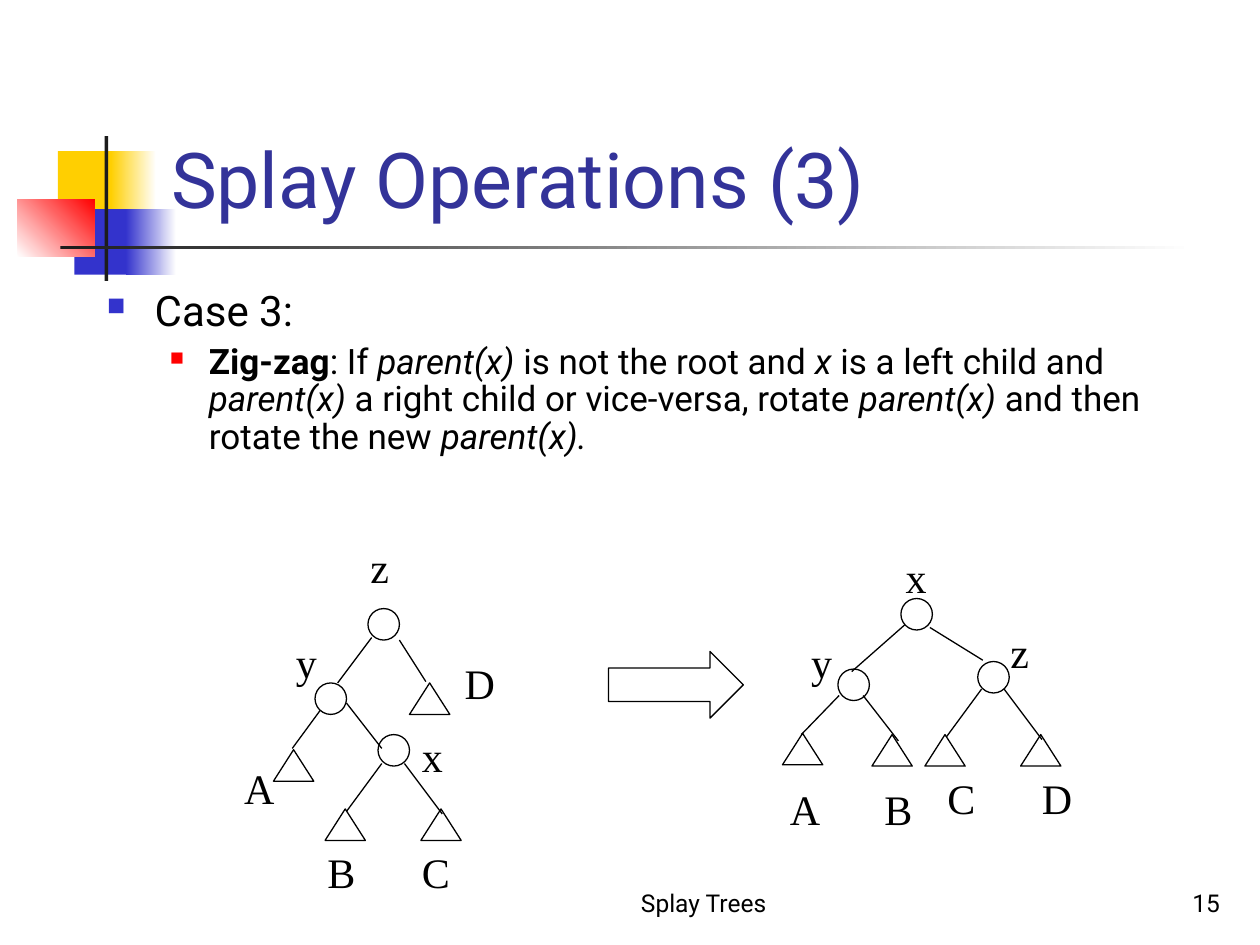
from lxml import etree
from pptx import Presentation
from pptx.dml.color import RGBColor
from pptx.enum import shapes, text
from pptx.oxml import ns
from pptx.util import Inches, Pt

BLACK = RGBColor(0x00, 0x00, 0x00)
WHITE = RGBColor(0xFF, 0xFF, 0xFF)
YELLOW = RGBColor(0xFF, 0xCF, 0x01)
BLUE = RGBColor(0x33, 0x33, 0xCC)
RED = RGBColor(0xFF, 0x00, 0x00)
DARK = RGBColor(0x1C, 0x1C, 0x1C)
NAVY = RGBColor(0x33, 0x33, 0x99)
ST = shapes.MSO_SHAPE
AL = text.PP_ALIGN
ANCHOR = text.MSO_ANCHOR

prs = Presentation()
prs.slide_width, prs.slide_height = Inches(10), Inches(7.5)
s = prs.slides.add_slide(prs.slide_layouts[6])


def add_run(p, words, size, font="Roboto", color=BLACK, bold=False, italic=False):
    r = p.add_run()
    r.text = words
    r.font.size, r.font.name = Pt(size), font
    r.font.bold, r.font.italic = bold, italic
    r.font.color.rgb = color


def add_outline(kind, x, y, w, h):
    sp = s.shapes.add_shape(kind, Inches(x), Inches(y), Inches(w), Inches(h))
    sp.shadow.inherit = False
    sp.fill.background()
    sp.line.color.rgb = BLACK
    sp.line.width = Pt(0.75)
    return sp


for x, y, w, h, start, end, angle in [
    (0.46, 1.2, 0.48, 0.52, YELLOW, YELLOW, 0),
    (0.88, 1.2, 0.36, 0.52, YELLOW, WHITE, 0),
    (0.59, 1.66, 0.46, 0.52, BLUE, BLUE, 0),
    (1, 1.66, 0.4, 0.52, BLUE, WHITE, 0),
    (0.14, 1.58, 0.61, 0.46, WHITE, RED, 45),
    (0.83, 1.08, 0.03, 1.15, DARK, DARK, 0),
    (0.48, 1.95, 9, 0.03, DARK, WHITE, 0),
]:
    sp = add_outline(ST.RECTANGLE, x, y, w, h)
    sp.line.fill.background()
    if start == end:
        sp.fill.solid()
        sp.fill.fore_color.rgb = start
    else:
        sp.fill.gradient()
        sp.fill.gradient_angle = angle
        for stop, color in zip(sp.fill.gradient_stops, (start, end)):
            stop.color.rgb = color

for words, x, y, w, h, size, color, align in [
    ("Splay Trees", 4, 6.83, 3.17, 0.5, 14, BLACK, AL.CENTER),
    ("15", 7.7, 6.83, 2.08, 0.5, 14, BLACK, AL.RIGHT),
    ("Splay Operations (3)", 1.26, 0.23, 8.52, 1.6, 44, NAVY, AL.LEFT),
]:
    tf = s.shapes.add_textbox(Inches(x), Inches(y), Inches(w), Inches(h)).text_frame
    tf.word_wrap = True
    tf.vertical_anchor = ANCHOR.BOTTOM
    tf.paragraphs[0].alignment = align
    add_run(tf.paragraphs[0], words, size, color=color)

tf = s.shapes.add_textbox(Inches(0.75), Inches(2.25), Inches(8.5), Inches(1.75)).text_frame
tf.word_wrap = True
case, rule = tf.paragraphs[0], tf.add_paragraph()
rule.level = 1
rule.space_before = Pt(5)
for p, margin, indent, color, percent in [
    (case, 0.38, -0.38, BLUE, 60),
    (rule, 0.81, -0.31, RED, 55),
]:
    p.line_spacing = 0.9
    pPr = p._p.get_or_add_pPr()
    pPr.set("marL", str(Inches(margin)))
    pPr.set("indent", str(Inches(indent)))
    bullet_color = etree.SubElement(pPr, ns.qn("a:buClr"))
    etree.SubElement(bullet_color, ns.qn("a:srgbClr"), val=str(color))
    etree.SubElement(pPr, ns.qn("a:buSzPct"), val=str(percent * 1000))
    etree.SubElement(pPr, ns.qn("a:buChar"), char="■")

add_run(case, "Case 3:", 24)
add_run(rule, "Zig-zag", 20, bold=True)
for plain, variable in [
    (": If ", "parent(x)"),
    (" is not the root and ", "x"),
    (" is a left child and ", "parent(x)"),
    (" a right child or vice-versa, rotate ", "parent(x)"),
    (" and then rotate the new ", "parent(x)."),
]:
    add_run(rule, plain, 20)
    add_run(rule, variable, 20, italic=True)

nodes = [(2.92, 4.83), (2.5, 5.42), (3, 5.83), (7.15, 4.75), (6.65, 5.31), (7.76, 5.25)]
for x, y in nodes:
    add_outline(ST.OVAL, x, y, 0.25, 0.25)

subtrees = [(2.17, 5.95), (2.58, 6.42), (3.34, 6.42), (3.25, 5.42),
            (6.21, 5.82), (6.92, 5.83), (7.34, 5.83), (8.1, 5.83)]
for x, y in subtrees:
    add_outline(ST.ISOSCELES_TRIANGLE, x, y, 0.32, 0.25)

edges = [
    (2.95, 5.06, 2.68, 5.42), (3.17, 5.08, 3.38, 5.41),
    (2.54, 5.64, 2.32, 5.94), (2.75, 5.58, 3.03, 5.94),
    (3.03, 6.06, 2.75, 6.44), (3.21, 6.06, 3.51, 6.46),
    (7.18, 4.96, 6.76, 5.33), (7.38, 4.98, 7.8, 5.24),
    (6.66, 5.52, 6.36, 5.83), (6.85, 5.52, 7.13, 5.88),
    (7.79, 5.47, 7.51, 5.85), (7.97, 5.47, 8.27, 5.87),
]
for edge in edges:
    line = s.shapes.add_connector(shapes.MSO_CONNECTOR.STRAIGHT, *map(Inches, edge))
    line.line.color.rgb = BLACK
    line.line.width = Pt(0.75)
    etree.SubElement(line._element.spPr, ns.qn("a:effectLst"))

label_widths = {"A": 0.44, "B": 0.42, "C": 0.42, "D": 0.44, "x": 0.36, "y": 0.36, "z": 0.35}
labels = [
    ("z", 2.84, 4.25), ("y", 2.25, 5), ("x", 3.25, 5.75),
    ("A", 1.84, 6), ("B", 2.5, 6.67), ("C", 3.25, 6.67), ("D", 3.59, 5.17),
    ("x", 7.09, 4.33), ("y", 6.34, 5), ("z", 7.92, 4.92),
    ("A", 6.17, 6.17), ("B", 6.92, 6.17), ("C", 7.42, 6.08), ("D", 8.17, 6.08),
]
for name, x, y in labels:
    box = s.shapes.add_textbox(Inches(x), Inches(y), Inches(label_widths[name]), Inches(0.5))
    tf = box.text_frame
    tf.word_wrap = False
    tf.auto_size = text.MSO_AUTO_SIZE.SHAPE_TO_FIT_TEXT
    add_run(tf.paragraphs[0], name, 24, "Times New Roman")

add_outline(ST.RIGHT_ARROW, 4.83, 5.17, 1.07, 0.53)

prs.save("out.pptx")
